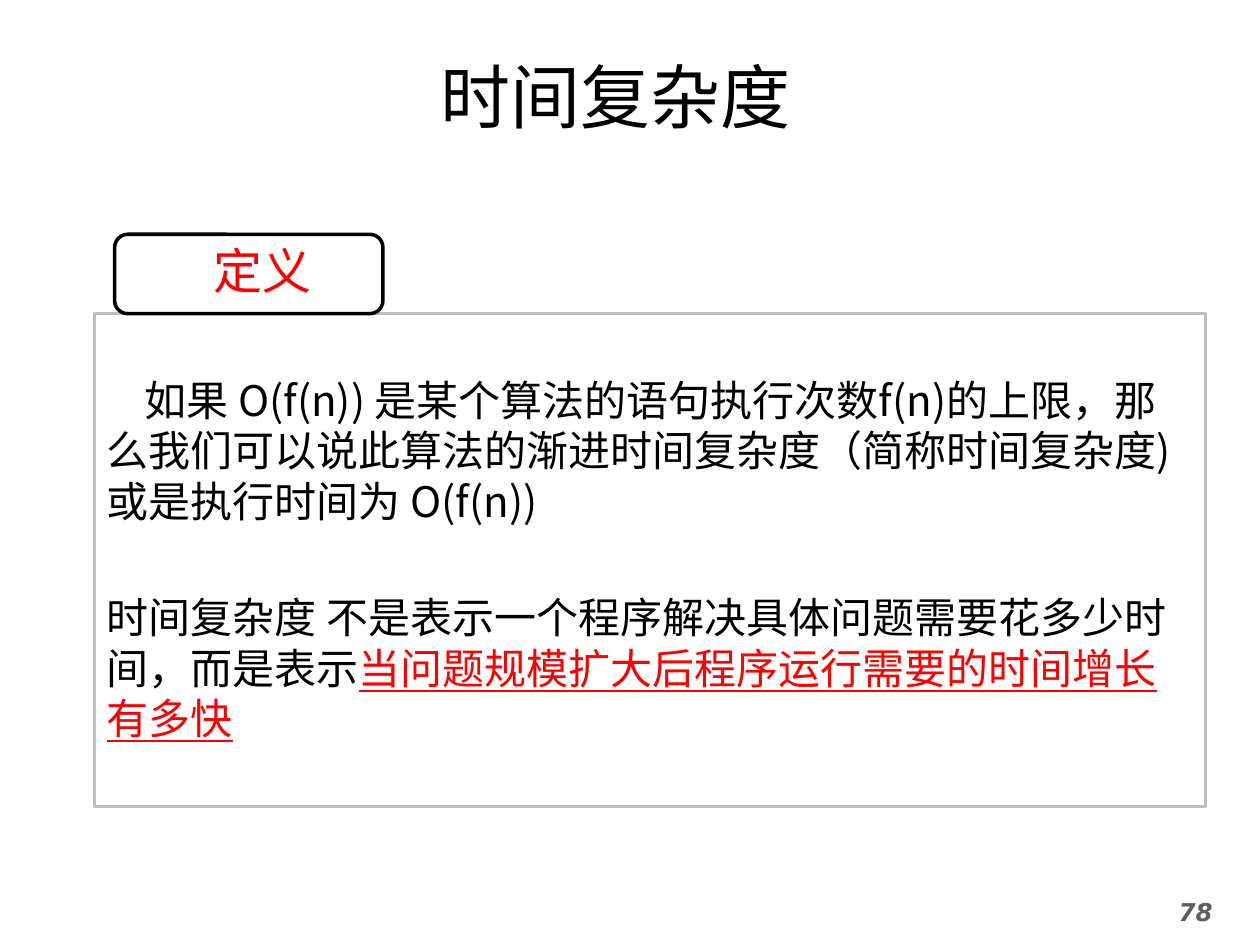
from pptx import Presentation
from pptx.dml.color import RGBColor
from pptx.enum.shapes import MSO_SHAPE as Shape
from pptx.enum.text import MSO_ANCHOR as Anchor, MSO_AUTO_SIZE as AutoSize, PP_ALIGN as Align
from pptx.oxml.ns import qn
from pptx.util import Inches, Pt

BLACK = RGBColor(0x00, 0x00, 0x00)
WHITE = RGBColor(0xFF, 0xFF, 0xFF)
RED = RGBColor(0xFF, 0x00, 0x00)
BORDER_GRAY = RGBColor(0xBF, 0xBF, 0xBF)
NUMBER_GRAY = RGBColor(0x5F, 0x5F, 0x5F)
CJK_FONT = "Noto Sans CJK SC"

TITLE_FORMAT = {"name": "Noto Sans CJK JP", "size": Pt(40), "color": BLACK}
LABEL_FORMAT = {"name": "DejaVu Sans Mono", "size": Pt(28), "color": RED}
BODY_FORMAT = {"name": CJK_FONT, "size": Pt(24), "color": BLACK}
EMPHASIS_FORMAT = {**BODY_FORMAT, "color": RED, "underline": True}
NUMBER_FORMAT = {"name": "DejaVu Sans", "size": Pt(14), "color": NUMBER_GRAY,
                 "bold": True, "italic": True}

DEFINITION = [
    [("如果 O(f(n)) 是某个算法的语句执行次数f(n)的上限，那么我们可以说此算法的"
      "渐进时间复杂度（简称时间复杂度) 或是执行时间为 O(f(n))", BODY_FORMAT)],
    [("时间复杂度 不是表示一个程序解决具体问题需要花多少时间，而是表示", BODY_FORMAT),
     ("当问题规模扩大后程序运行需要的时间增长有多快", EMPHASIS_FORMAT)],
]


def set_attributes(target, values):
    """Set each named attribute of the target."""
    for name, value in values.items():
        setattr(target, name, value)


def add_run(paragraph, text, values):
    """Append a run with the given font format."""
    run = paragraph.add_run()
    run.text = text
    set_attributes(run.font, {k: v for k, v in values.items() if k != "color"})
    run.font.color.rgb = values["color"]
    east_asian = run.font._element.makeelement(qn("a:ea"), {
        "typeface": values["name"] if "CJK" in values["name"] else CJK_FONT})
    run.font._element.find(qn("a:latin")).addnext(east_asian)


def add_frame(slide, kind, box, line_color, line_width):
    """Add an outlined white shape with left-aligned wrapping text."""
    shape = slide.shapes.add_shape(kind, *box)
    shape.shadow.inherit = False
    shape.fill.solid()
    shape.fill.fore_color.rgb = WHITE
    shape.line.color.rgb = line_color
    shape.line.width = line_width
    set_attributes(shape.text_frame, {"word_wrap": True, "auto_size": AutoSize.NONE})
    return shape


def add_title(slide, box):
    """Place and format the slide title."""
    title = slide.shapes.title
    set_attributes(title, dict(zip(("left", "top", "width", "height"), box)))
    title.text_frame.vertical_anchor = Anchor.MIDDLE
    paragraph = title.text_frame.paragraphs[0]
    paragraph.alignment = Align.CENTER
    add_run(paragraph, "时间复杂度", TITLE_FORMAT)


def add_definition(slide, box):
    """Add the bordered box holding the definition paragraphs."""
    frame = add_frame(slide, Shape.RECTANGLE, box, BORDER_GRAY, Pt(1.5)).text_frame
    set_attributes(frame, {"vertical_anchor": Anchor.TOP, "margin_top": Inches(0.48)})
    for index, runs in enumerate(DEFINITION):
        paragraph = frame.add_paragraph() if index else frame.paragraphs[0]
        set_attributes(paragraph, {"alignment": Align.LEFT, "line_spacing": Pt(28.8),
                                   "space_before": Pt(38 if index else 0)})
        if index == 0:
            paragraph._p.get_or_add_pPr().set("indent", str(Inches(0.3)))
        for text, values in runs:
            add_run(paragraph, text, values)


def add_label(slide, box):
    """Add the rounded label above the definition."""
    frame = add_frame(slide, Shape.ROUNDED_RECTANGLE, box, BLACK, Pt(2)).text_frame
    set_attributes(frame, {"vertical_anchor": Anchor.MIDDLE, "margin_left": Inches(0.32)})
    paragraph = frame.paragraphs[0]
    set_attributes(paragraph, {"alignment": Align.CENTER, "line_spacing": 0.9})
    add_run(paragraph, "定义", LABEL_FORMAT)


def add_page_number(slide, box):
    """Add the page number in the lower right corner."""
    frame = slide.shapes.add_textbox(*box).text_frame
    frame.word_wrap = True
    frame.paragraphs[0].alignment = Align.CENTER
    add_run(frame.paragraphs[0], "78", NUMBER_FORMAT)


def main():
    """Build and save the slide."""
    presentation = Presentation()
    set_attributes(presentation, {"slide_width": Inches(10), "slide_height": Inches(7.5)})
    slide = presentation.slides.add_slide(presentation.slide_layouts[5])
    add_page_number(slide, (Inches(8.98), Inches(7.07), Inches(1.02), Inches(0.43)))
    add_title(slide, (Inches(1.3), Inches(0.37), Inches(7.17), Inches(0.77)))
    add_definition(slide, (Inches(0.75), Inches(2.49), Inches(8.82), Inches(3.91)))
    add_label(slide, (Inches(0.91), Inches(1.86), Inches(2.13), Inches(0.63)))
    presentation.save("out.pptx")


if __name__ == "__main__":
    main()
